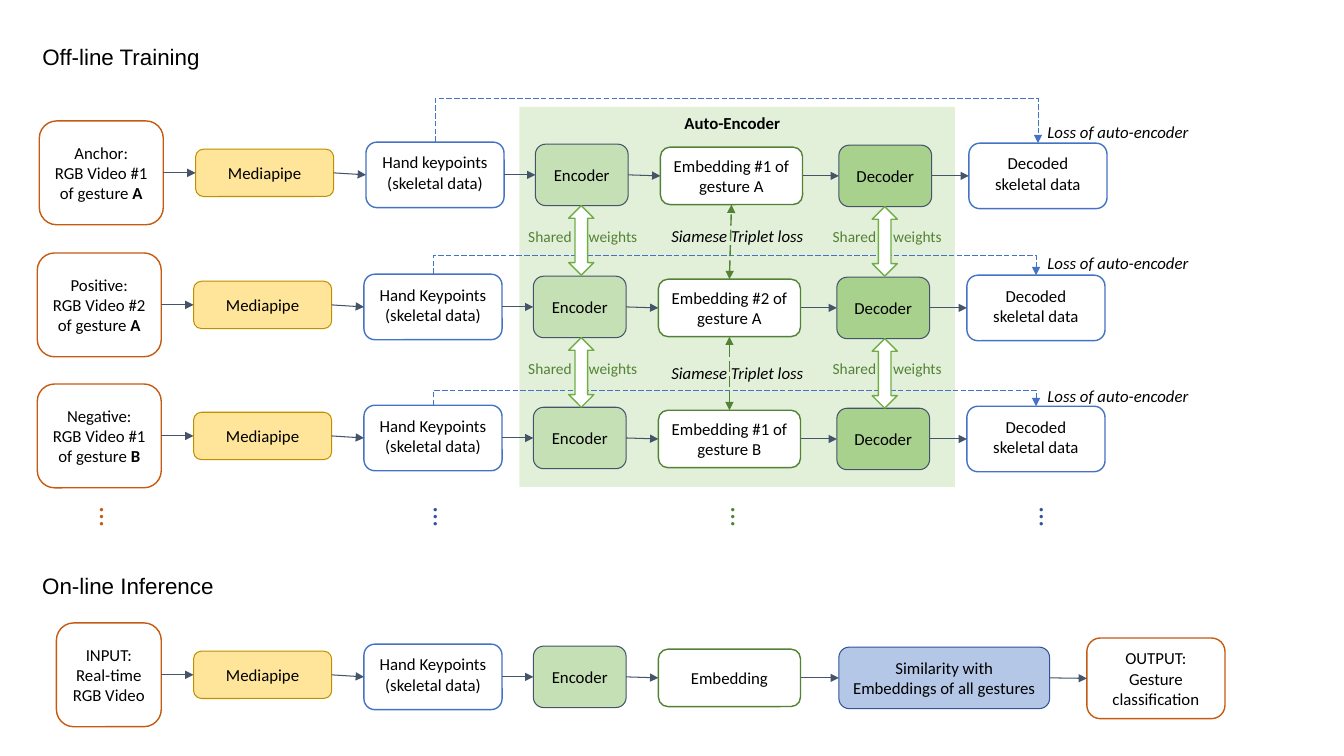
import pptx
import pptx.util
import pptx.dml.color
import pptx.enum.dml
import pptx.enum.shapes
import pptx.enum.text
import pptx.oxml
import pptx.oxml.ns
from lxml import etree

Inches = pptx.util.Inches
SHAPES = pptx.enum.shapes.MSO_SHAPE
CONNECTORS = pptx.enum.shapes.MSO_CONNECTOR
ALIGN = pptx.enum.text.PP_ALIGN
ANCHOR = pptx.enum.text.MSO_ANCHOR
TOP, LEFT, BOTTOM, RIGHT = range(4)

COLORS = {
    "white": "FFFFFF", "black": "000000", "band": "E2F0D9",
    "orange": "C55A11", "yellow": "FFE599", "gold": "BF9000",
    "blue": "4472C4", "navy": "2F5597", "sky": "B4C7E7",
    "slate": "44546A", "light green": "C5E0B4", "mid green": "A9D18E",
    "green": "548235", "arrow green": "70AD47",
}

STAGES = {
    "video": (0.37, 0, 1.23, 1.03, "white", "orange", 1),
    "mediapipe": (1.92, 0.28, 1.37, 0.47, "yellow", "gold", 0.75),
    "keypoints": (3.61, 0.21, 1.37, 0.65, "white", "blue", 1),
    "encoder": (5.29, 0.23, 0.92, 0.61, "light green", "slate", 0.75),
    "embedding": (6.53, 0.26, 1.41, 0.57, "white", "green", 1),
    "decoder": (8.3, 0.24, 0.92, 0.61, "mid green", "slate", 0.75),
    "decoded": (9.59, 0.22, 1.37, 0.65, "white", "blue", 1),
    "input": (0.56, 0, 1.04, 1.03, "white", "orange", 1),
    "similarity": (8.32, 0.24, 2.09, 0.61, "sky", "navy", 0.75),
    "output": (10.78, 0.15, 1.37, 0.8, "white", "orange", 1),
}

TRAINING_ROWS = [
    (1.2, 0.02, "Anchor:", 1, "A", "Hand keypoints", 0.44, 1.16),
    (2.51, 0, "Positive:", 2, "A", "Hand Keypoints", 0.19, 2.46),
    (3.81, 0, "Negative:", 1, "B", "Hand Keypoints", 0.15, 3.78),
]


class Diagram:
    """Draws the parts of the gesture diagram on one slide in a shared style."""

    def __init__(self, slide, font="Calibri", size=12):
        self.slide = slide
        self.font = font
        self.size = size

    def color(self, name):
        return pptx.dml.color.RGBColor.from_string(COLORS[name])

    def format_text(self, frame, color="black", size=None, font=None, align=ALIGN.LEFT, italic=False, bold=False):
        for paragraph in frame.paragraphs:
            paragraph.alignment = align
            for run in paragraph.runs:
                run.font.name = font or self.font
                run.font.size = pptx.util.Pt(size or self.size)
                run.font.color.rgb = self.color(color)
                run.font.italic = italic
                run.font.bold = bold

    def title(self, text, x, y, w, h):
        title = self.slide.shapes.title
        title.left, title.top, title.width, title.height = map(Inches, (x, y, w, h))
        frame = title.text_frame
        frame.text = text
        frame.auto_size = pptx.enum.text.MSO_AUTO_SIZE.NONE
        frame.vertical_anchor = ANCHOR.TOP
        self.format_text(frame, size=16, font="Arial")

    def label(self, text, x, y, w, h, vertical=False, tab=None, **style):
        frame = self.slide.shapes.add_textbox(*map(Inches, (x, y, w, h))).text_frame
        frame.word_wrap = True
        frame.text = text
        self.format_text(frame, **style)
        if vertical:
            frame._txBody.bodyPr.set("vert", "eaVert")
        if tab:
            properties = frame.paragraphs[0]._p.get_or_add_pPr()
            stops = etree.SubElement(properties, pptx.oxml.ns.qn("a:tabLst"))
            etree.SubElement(stops, pptx.oxml.ns.qn("a:tab"), pos=str(Inches(tab)), algn="l")

    def shape(self, kind, x, y, w, h, fill, line=None, width=1):
        shape = self.slide.shapes.add_shape(kind, *map(Inches, (x, y, w, h)))
        shape.shadow.inherit = False
        shape.fill.solid()
        shape.fill.fore_color.rgb = self.color(fill)
        if line:
            shape.line.color.rgb = self.color(line)
            shape.line.width = pptx.util.Pt(width)
        else:
            shape.line.fill.background()
        return shape

    def stage(self, name, row_top, text, shift=0, bold_end=""):
        x, offset, w, h, fill, line, width = STAGES[name]
        box = self.shape(SHAPES.ROUNDED_RECTANGLE, x + shift, row_top + offset, w, h, fill, line, width)
        frame = box.text_frame
        frame.word_wrap = True
        frame.vertical_anchor = ANCHOR.MIDDLE
        frame.margin_left = frame.margin_right = Inches(0.1)
        frame.margin_top = Inches(0.05)
        frame.margin_bottom = Inches(0.1 if name in ("keypoints", "decoded") else 0.05)
        frame.text = text
        if bold_end:
            frame.paragraphs[-1].add_run().text = bold_end
        self.format_text(frame, align=ALIGN.CENTER)
        if bold_end:
            frame.paragraphs[-1].runs[-1].font.bold = True
        return box

    def connect(self, start, start_side, end, end_side, color="slate", width=0.75,
                kind=CONNECTORS.STRAIGHT, dashed=False, double=False):
        link = self.slide.shapes.add_connector(kind, 0, 0, 0, 0)
        link.begin_connect(start, start_side)
        link.end_connect(end, end_side)
        link.line.color.rgb = self.color(color)
        link.line.width = pptx.util.Pt(width)
        if dashed:
            link.line.dash_style = pptx.enum.dml.MSO_LINE.LONG_DASH
        outline = link.line._get_or_add_ln()
        for tag in ("a:headEnd", "a:tailEnd") if double else ("a:tailEnd",):
            etree.SubElement(outline, pptx.oxml.ns.qn(tag), type="triangle")
        etree.SubElement(link._element.spPr, pptx.oxml.ns.qn("a:effectLst"))
        return link

    def chain(self, boxes):
        for start, end in zip(boxes, boxes[1:]):
            self.connect(start, RIGHT, end, LEFT)

    def loss_loop(self, keypoints, decoded, rise):
        loop = self.connect(keypoints, TOP, decoded, TOP, "blue", 0.5, CONNECTORS.ELBOW, dashed=True)
        span, drop = loop.width, max(loop.height, Inches(0.01))
        center_x, center_y = loop.left + span // 2, loop.top + drop // 2
        loop.left, loop.top = center_x - drop // 2, center_y - span // 2
        loop.width, loop.height = drop, span
        properties = loop._element.spPr
        frame = properties.find(pptx.oxml.ns.qn("a:xfrm"))
        frame.set("rot", "16200000")
        frame.set("flipH", "1")
        guides = properties.find(pptx.oxml.ns.qn("a:prstGeom")).get_or_add_avLst()
        bend = -round(Inches(rise) / drop * 100000)
        etree.SubElement(guides, pptx.oxml.ns.qn("a:gd"), name="adj1", fmla=f"val {bend}")

    def shared_weights(self, stage, row_top, shift):
        x, offset, _, h = STAGES[stage][:4]
        bottom = row_top + offset + h
        arrow = self.shape(SHAPES.UP_DOWN_ARROW, x + 0.35, bottom, 0.25, 0.69, "white", "arrow green")
        arrow.adjustments[0], arrow.adjustments[1] = 0.585, 0.5
        self.label("Shared\tweights", x - 0.15 + shift, row_top + 1, 1.45, 0.29, tab=0.6, color="green", size=11)


def draw_training(diagram):
    diagram.shape(SHAPES.RECTANGLE, 5.15, 1.06, 4.32, 3.77, "band")
    rows = []
    for top, shift, role, number, gesture, hand, _, _ in TRAINING_ROWS:
        row = {"video": diagram.stage("video", top, f"{role}\nRGB Video #{number} of gesture ", shift, gesture)}
        for name, text in (
            ("mediapipe", "Mediapipe"),
            ("keypoints", f"{hand} (skeletal data)"),
            ("encoder", "Encoder"),
            ("embedding", f"Embedding #{number} of gesture {gesture}"),
            ("decoder", "Decoder"),
            ("decoded", "Decoded skeletal data"),
        ):
            row[name] = diagram.stage(name, top, text, shift)
        diagram.chain(list(row.values()))
        rows.append(row)

    diagram.label("Auto-Encoder", 6.69, 1.07, 1.17, 0.3, bold=True)
    for row, (*_, rise, loss_top) in zip(rows, TRAINING_ROWS):
        diagram.loss_loop(row["keypoints"], row["decoded"], rise)
        diagram.label("Loss of auto-encoder", 10.29, loss_top, 2.12, 0.3, italic=True)
    for upper, lower, (top, *_), triplet_top in zip(rows, rows[1:], TRAINING_ROWS, (2.19, 3.55)):
        diagram.shared_weights("encoder", top, 0)
        diagram.shared_weights("decoder", top, 0.01)
        diagram.connect(lower["embedding"], TOP, upper["embedding"], BOTTOM, "green", 1, dashed=True, double=True)
        diagram.label("Siamese Triplet loss", 6.56, triplet_top, 2.12, 0.3, italic=True)
    for x, color in ((0.78, "orange"), (4.09, "navy"), (7.04, "green"), (10.1, "navy")):
        diagram.label("…", x, 4.94, 0.54, 0.4, vertical=True, color=color, size=20)


def draw_inference(diagram):
    diagram.label("On-line Inference", 0.32, 5.63, 4.82, 0.37, size=16, font="Arial")
    diagram.chain([diagram.stage(name, 6.18, text) for name, text in (
        ("input", "INPUT: Real-time RGB Video"),
        ("mediapipe", "Mediapipe"),
        ("keypoints", "Hand Keypoints (skeletal data)"),
        ("encoder", "Encoder"),
        ("embedding", "Embedding"),
        ("similarity", "Similarity with Embeddings of all gestures"),
        ("output", "OUTPUT:\nGesture classification"),
    )])


def main():
    deck = pptx.Presentation()
    deck.slide_width, deck.slide_height = Inches(13.33), Inches(7.5)
    diagram = Diagram(deck.slides.add_slide(deck.slide_layouts[5]))
    diagram.title("Off-line Training", 0.32, 0.38, 4.82, 0.37)
    draw_training(diagram)
    draw_inference(diagram)
    deck.save("out.pptx")


if __name__ == "__main__":
    main()
